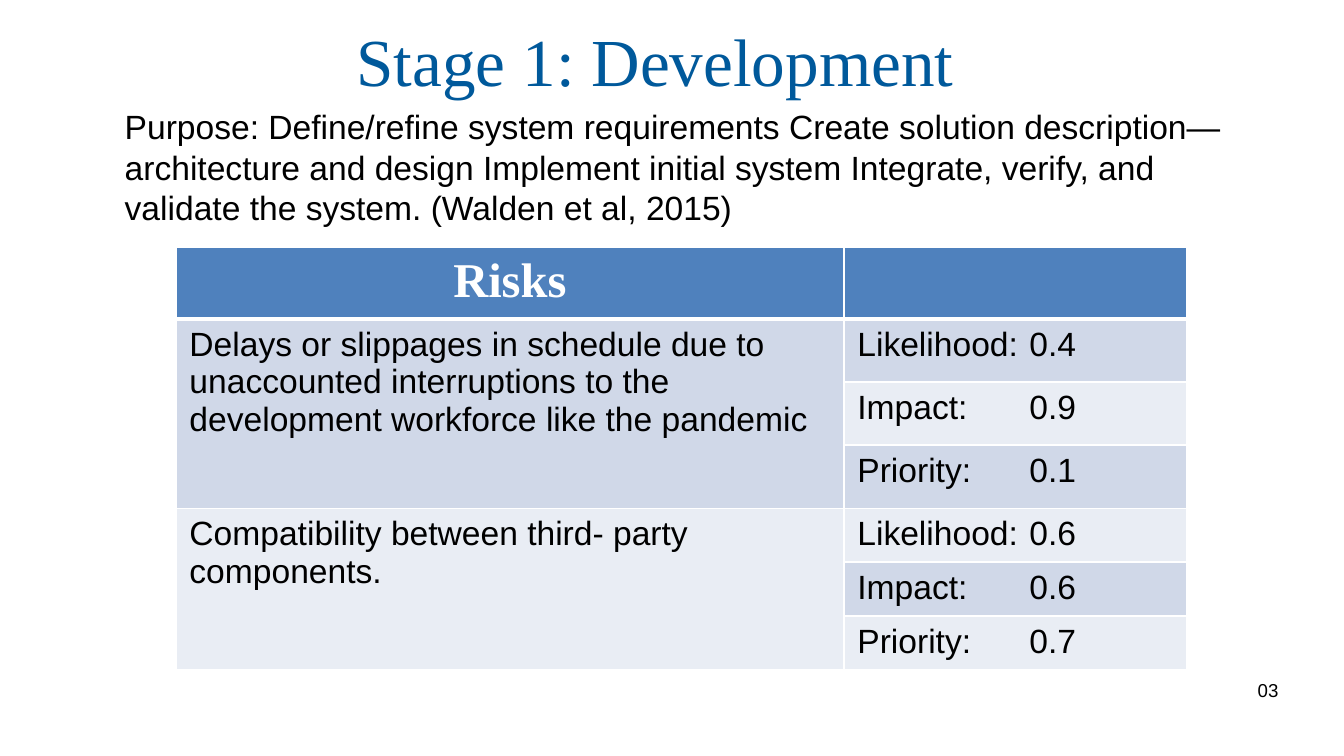
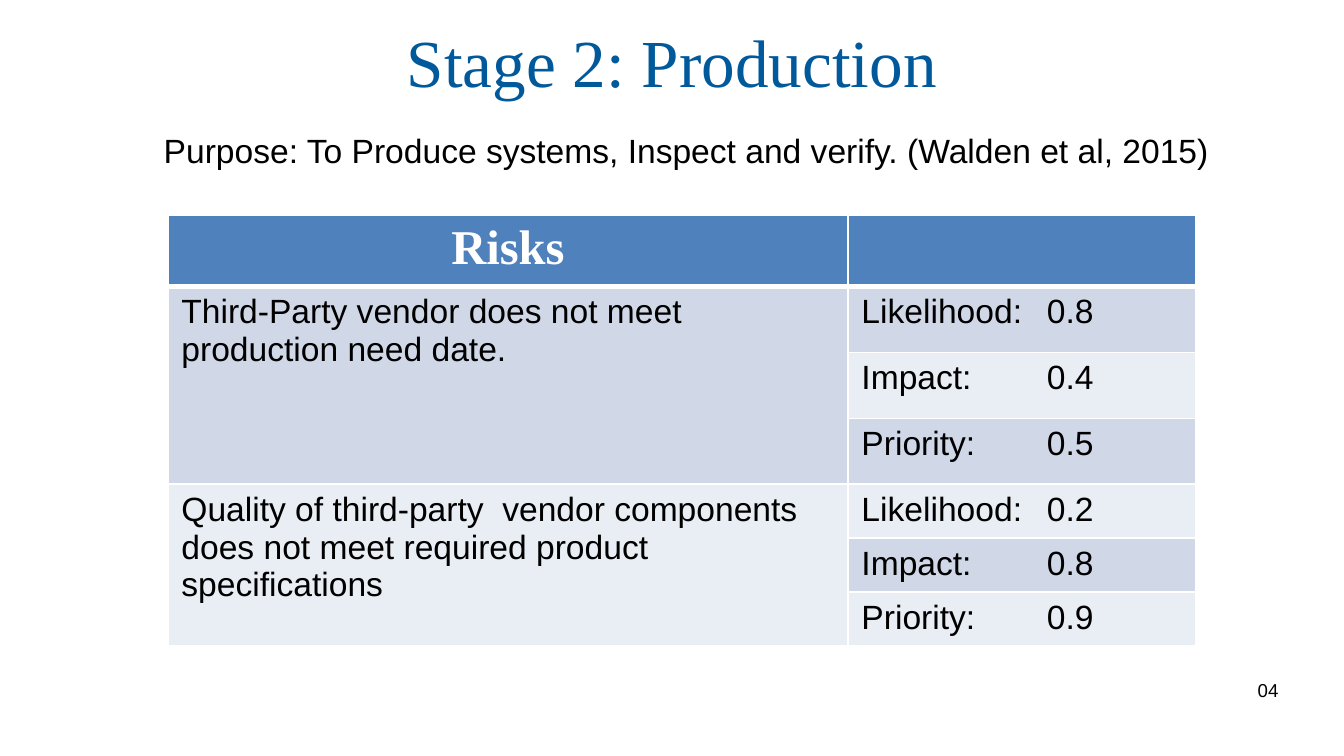
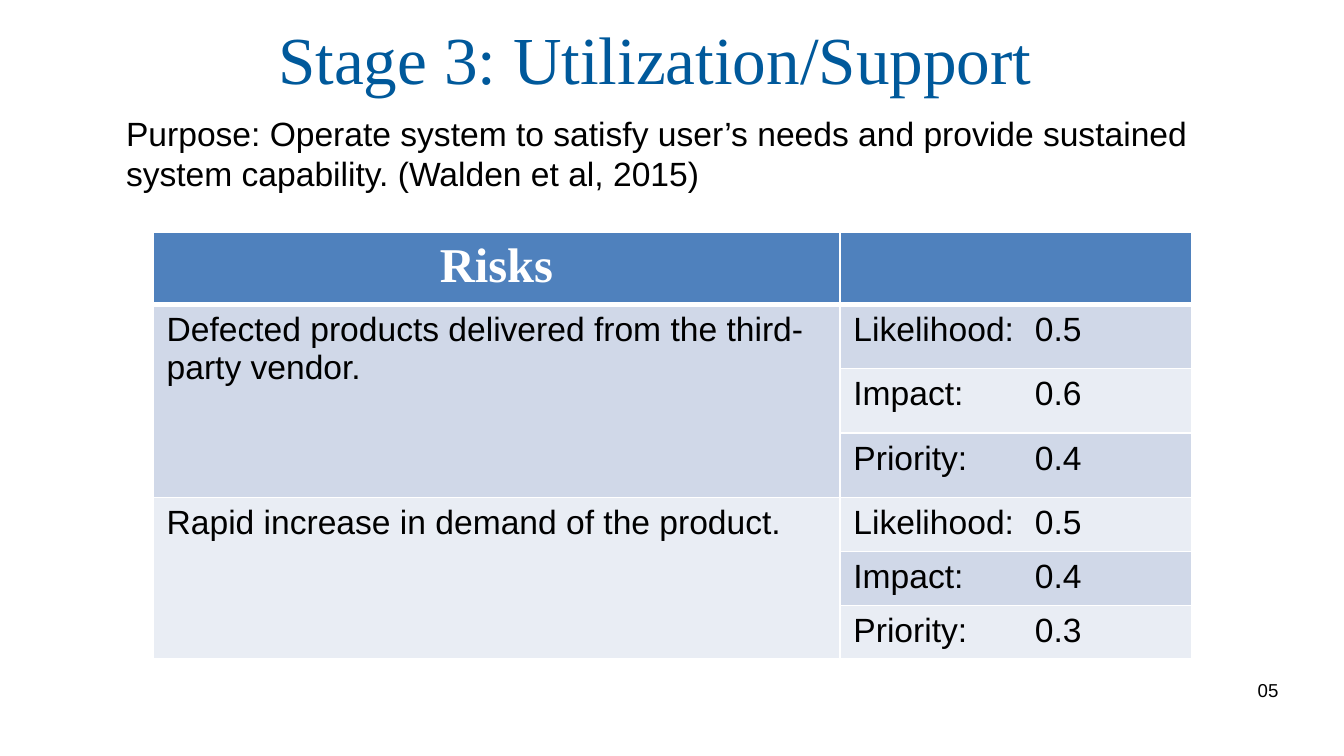
from lxml.etree import SubElement
from pptx import Presentation
from pptx.dml.color import RGBColor
from pptx.enum.text import MSO_ANCHOR as Anchor, MSO_AUTO_SIZE as AutoSize, PP_ALIGN as Align
from pptx.oxml.ns import qn
from pptx.util import Inches, Pt

COLORS = {
    "title": "00599B",
    "text": "000000",
    "header": "4F81BD",
    "dark_band": "D0D8E8",
    "light_band": "E9EDF4",
    "white": "FFFFFF",
}
BODY_FONT = "Arial"
TITLE_FONT = "Times New Roman"
PAGE_WIDTH = Inches(10)
PAGE_HEIGHT = PAGE_WIDTH * 9 // 16
MEASURES = ("Likelihood", "Impact", "Priority")
HEADER_HEIGHT = 0.52
SECOND_RISK_HEIGHT = 0.4

STAGES = [
    {
        "title": "Stage 1: Development",
        "title_at": (0.44, 0.09),
        "title_trail": 0.13,
        "purpose": "Purpose: Define/refine system requirements Create solution description—"
                   "architecture and design Implement initial system Integrate, verify, and "
                   "validate the system. (Walden et al, 2015)",
        "purpose_at": (0.83, 0.74, 8.5, 1.31),
        "table_at": (1.31, 1.84),
        "columns": (4.97, 2.55),
        "first_risk_height": 0.47,
        "value_tab": 1.28,
        "risks": [
            ("Delays or slippages in schedule due to unaccounted interruptions to the "
             "development workforce like the pandemic", (0.4, 0.9, 0.1)),
            ("Compatibility between third- party components.", (0.6, 0.6, 0.7)),
        ],
    },
    {
        "title": "Stage 2: Production",
        "title_at": (0.5, 0.1),
        "title_trail": 0,
        "purpose": "Purpose: To Produce systems, Inspect and verify. (Walden et al, 2015)",
        "purpose_at": (1.12, 0.92, 8.5, 0.71),
        "table_at": (1.25, 1.6),
        "columns": (5.06, 2.59),
        "first_risk_height": 0.49,
        "value_tab": 1.38,
        "risks": [
            ("Third-Party vendor does not meet production need date.", (0.8, 0.4, 0.5)),
            ("Quality of third-party  vendor components does not meet required product "
             "specifications", (0.2, 0.8, 0.9)),
        ],
    },
    {
        "title": "Stage 3: Utilization/Support",
        "title_at": (0.5, 0.08),
        "title_trail": 0.25,
        "purpose": "Purpose: Operate system to satisfy user’s needs and provide sustained "
                   "system capability. (Walden et al, 2015)",
        "purpose_at": (0.84, 0.79, 8.5, 1.01),
        "table_at": (1.14, 1.73),
        "columns": (5.11, 2.62),
        "first_risk_height": 0.48,
        "value_tab": 1.35,
        "risks": [
            ("Defected products delivered from the third-party vendor.", (0.5, 0.6, 0.4)),
            ("Rapid increase in demand of the product.", (0.5, 0.4, 0.3)),
        ],
    },
]


def write(frame, text, size=18, font=BODY_FONT, color="text", bold=False,
          align=Align.LEFT, before=0, tab=None):
    para = frame.paragraphs[0]
    para.alignment = align
    para.space_before = Pt(before)
    if tab:
        stops = SubElement(para._p.get_or_add_pPr(), qn("a:tabLst"))
        SubElement(stops, qn("a:tab"), pos=str(Inches(tab)), algn="l")
    span = para.add_run()
    span.text = text
    span.font.size = Pt(size)
    span.font.name = font
    span.font.bold = bold
    span.font.color.rgb = RGBColor.from_string(COLORS[color])


class RiskDeck:
    def __init__(self):
        self.deck = Presentation()
        self.deck.slide_width = PAGE_WIDTH
        self.deck.slide_height = PAGE_HEIGHT
        self.page = None

    def add_page(self):
        self.page = self.deck.slides.add_slide(self.deck.slide_layouts[5])

    def title(self, text, left, top, trail):
        box = self.page.shapes.title
        box.left, box.top = Inches(left), Inches(top)
        box.width, box.height = Inches(9), Inches(0.65)
        frame = box.text_frame
        frame.auto_size = AutoSize.NONE
        frame.vertical_anchor = Anchor.TOP
        frame.margin_right = Inches(0.1 + trail)
        write(frame, text, size=36, font=TITLE_FONT, color="title",
              align=Align.CENTER, before=4)

    def text(self, text, at, wrap=True, **style):
        box = self.page.shapes.add_textbox(*map(Inches, at))
        box.text_frame.word_wrap = wrap
        write(box.text_frame, text, **style)

    def page_number(self, number):
        self.text(f"{number:02}", (9.26, 5, 0.36, 0.27), wrap=False, size=10)

    def cell_style(self, cell, fill, bottom=1):
        props = cell._tc.get_or_add_tcPr()
        for side, width in (("L", 1), ("R", 1), ("T", 1), ("B", bottom)):
            line = SubElement(props, qn(f"a:ln{side}"), w=str(Pt(width)))
            paint = SubElement(line, qn("a:solidFill"))
            SubElement(paint, qn("a:srgbClr"), val=COLORS["white"])
        cell.fill.solid()
        cell.fill.fore_color.rgb = RGBColor.from_string(COLORS[fill])

    def risk_table(self, risks, at, columns, first_risk_height, value_tab):
        count = len(MEASURES)
        heights = [HEADER_HEIGHT] + [first_risk_height] * count + [SECOND_RISK_HEIGHT] * count
        size = sum(columns), sum(heights)
        table = self.page.shapes.add_table(
            len(heights), len(columns), *map(Inches, (*at, *size))).table
        table.horz_banding = False
        for column, width in zip(table.columns, columns):
            column.width = Inches(width)
        for row, height in zip(table.rows, heights):
            row.height = Inches(height)

        for cell in table.rows[0].cells:
            self.cell_style(cell, "header", bottom=3)
        write(table.cell(0, 0).text_frame, "Risks", size=26, font=TITLE_FONT,
              color="white", bold=True, align=Align.CENTER)

        bands = ("dark_band", "light_band")
        for index, (risk, values) in enumerate(risks):
            first = 1 + index * count
            for offset, (measure, value) in enumerate(zip(MEASURES, values)):
                risk_cell, value_cell = table.rows[first + offset].cells
                self.cell_style(risk_cell, bands[index % 2])
                self.cell_style(value_cell, bands[(index + offset) % 2])
                write(value_cell.text_frame, f"{measure}:\t{value}", tab=value_tab)
            table.cell(first, 0).merge(table.cell(first + count - 1, 0))
            write(table.cell(first, 0).text_frame, risk)


def main():
    builder = RiskDeck()
    for number, stage in enumerate(STAGES, start=3):
        builder.add_page()
        builder.title(stage["title"], *stage["title_at"], stage["title_trail"])
        builder.page_number(number)
        builder.risk_table(stage["risks"], stage["table_at"], stage["columns"],
                           stage["first_risk_height"], stage["value_tab"])
        builder.text(stage["purpose"], stage["purpose_at"])
    builder.deck.save("out.pptx")


if __name__ == "__main__":
    main()
